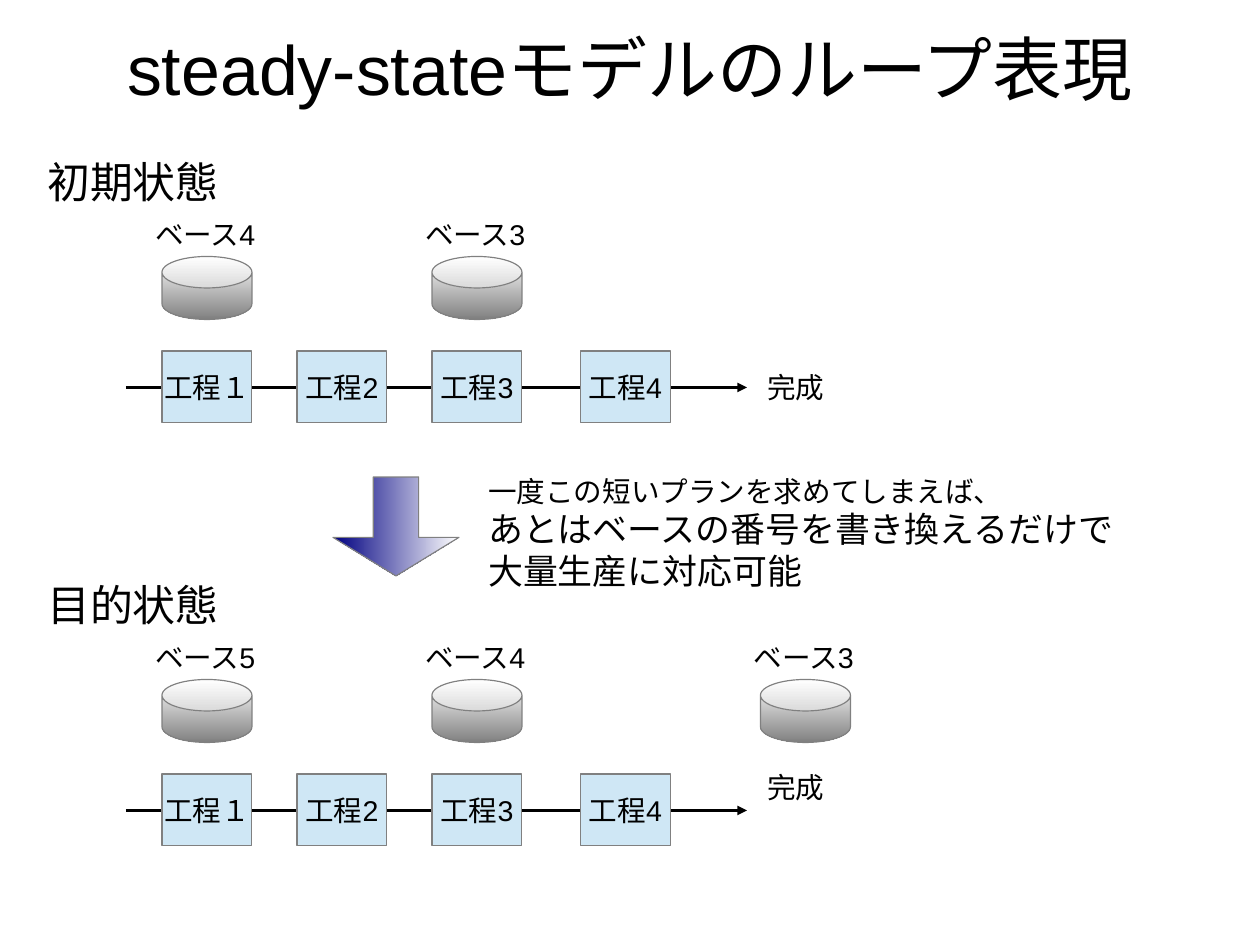
import pptx
import pptx.util
import pptx.dml.color
import pptx.enum.shapes
import pptx.enum.text
import pptx.oxml.ns
import lxml.etree

Cm = pptx.util.Cm
Pt = pptx.util.Pt
RGBColor = pptx.dml.color.RGBColor
SHAPE = pptx.enum.shapes.MSO_SHAPE
qn = pptx.oxml.ns.qn

BLACK = RGBColor(0x00, 0x00, 0x00)
WHITE = RGBColor(0xFF, 0xFF, 0xFF)
GRAY = RGBColor(0x80, 0x80, 0x80)
NAVY = RGBColor(0x00, 0x00, 0x80)
PALE_BLUE = RGBColor(0xCF, 0xE7, 0xF5)

deck = pptx.Presentation()
deck.slide_width, deck.slide_height = Cm(28), Cm(21)
slide = deck.slides.add_slide(deck.slide_layouts[5])
shapes = slide.shapes


def add_text(left, top, width, height, lines):
    box = shapes.add_textbox(Cm(left), Cm(top), Cm(width), Cm(height))
    frame = box.text_frame
    frame.word_wrap = True
    frame.text = "\n".join(text for text, size in lines)
    for paragraph, (text, size) in zip(frame.paragraphs, lines):
        paragraph.font.size = Pt(size)
        paragraph.font.name = "Arial"
        paragraph.font.color.rgb = BLACK


def add_block(kind, left, top, width, height, colors, angle=0):
    block = shapes.add_shape(kind, Cm(left), Cm(top), Cm(width), Cm(height))
    block.shadow.inherit = False
    block.line.color.rgb = GRAY
    block.line.width = Pt(0)
    if len(colors) == 1:
        block.fill.solid()
        block.fill.fore_color.rgb = colors[0]
    else:
        block.fill.gradient()
        block.fill.gradient_angle = angle
        for stop, color in zip(block.fill.gradient_stops, colors):
            stop.color.rgb = color
    return block


title = shapes.title
title.left, title.top, title.width, title.height = Cm(1.4), Cm(-0.25), Cm(25.2), Cm(3.5)
heading = title.text_frame
heading.text = "steady-stateモデルのループ表現"
heading.margin_left = heading.margin_right = heading.margin_top = heading.margin_bottom = 0
heading.vertical_anchor = pptx.enum.text.MSO_ANCHOR.MIDDLE
heading.auto_size = pptx.enum.text.MSO_AUTO_SIZE.NONE
heading.paragraphs[0].alignment = pptx.enum.text.PP_ALIGN.CENTER
heading_font = heading.paragraphs[0].runs[0].font
heading_font.size = Pt(44)
heading_font.name = "Arial"
heading_font.color.rgb = BLACK

processes = [("工程１", 3.6), ("工程2", 6.6), ("工程3", 9.6), ("工程4", 12.9)]
states = [
    ("初期状態", 3.33, 4.77, [("ベース4", 3.6), ("ベース3", 9.6)]),
    ("目的状態", 12.73, 3.66 + 0.6, [("ベース5", 3.6), ("ベース4", 9.6), ("ベース3", 16.9)]),
]

for state, top, done_offset, bases in states:
    flow_y = Cm(top + 5.28)
    flow = shapes.add_connector(
        pptx.enum.shapes.MSO_CONNECTOR.STRAIGHT, Cm(2.8), flow_y, Cm(16.6), flow_y)
    flow.line.color.rgb = BLACK
    flow.line.width = Pt(0)
    lxml.etree.SubElement(flow.line._get_or_add_ln(), qn("a:tailEnd"), type="triangle")
    lxml.etree.SubElement(flow._element.spPr, qn("a:effectLst"))

    add_text(0.8, top, 6.4, 1.63, [(state, 27)])
    for base, left in bases:
        add_text(left - 0.4, top + 1.37, 3, 1.17, [(base, 18)])
        add_block(SHAPE.CAN, left, top + 2.37, 2, 1.4, [WHITE, GRAY], 270).adjustments[0] = 0.5

    for process, left in processes:
        step = add_block(SHAPE.RECTANGLE, left, top + 4.47, 2, 1.6, [PALE_BLUE]).text_frame
        step.text = process
        step.word_wrap = False
        step.vertical_anchor = pptx.enum.text.MSO_ANCHOR.MIDDLE
        label = step.paragraphs[0]
        label.alignment = pptx.enum.text.PP_ALIGN.CENTER
        label.font.size = Pt(18)
        label.font.name = "Arial"
        label.font.color.rgb = BLACK

    add_text(16.8, top + done_offset, 2.4, 1.17, [("完成", 18)])

transition = add_block(SHAPE.DOWN_ARROW, 7.4, 10.6, 2.8, 2.2, [NAVY, WHITE])
transition.adjustments[0] = 0.36
transition.adjustments[1] = 0.39
add_text(10.6, 10.4, 15, 3.4, [
    ("一度この短いプランを求めてしまえば、", 18),
    ("あとはベースの番号を書き換えるだけで", 22),
    ("大量生産に対応可能", 22),
])

deck.save("out.pptx")
